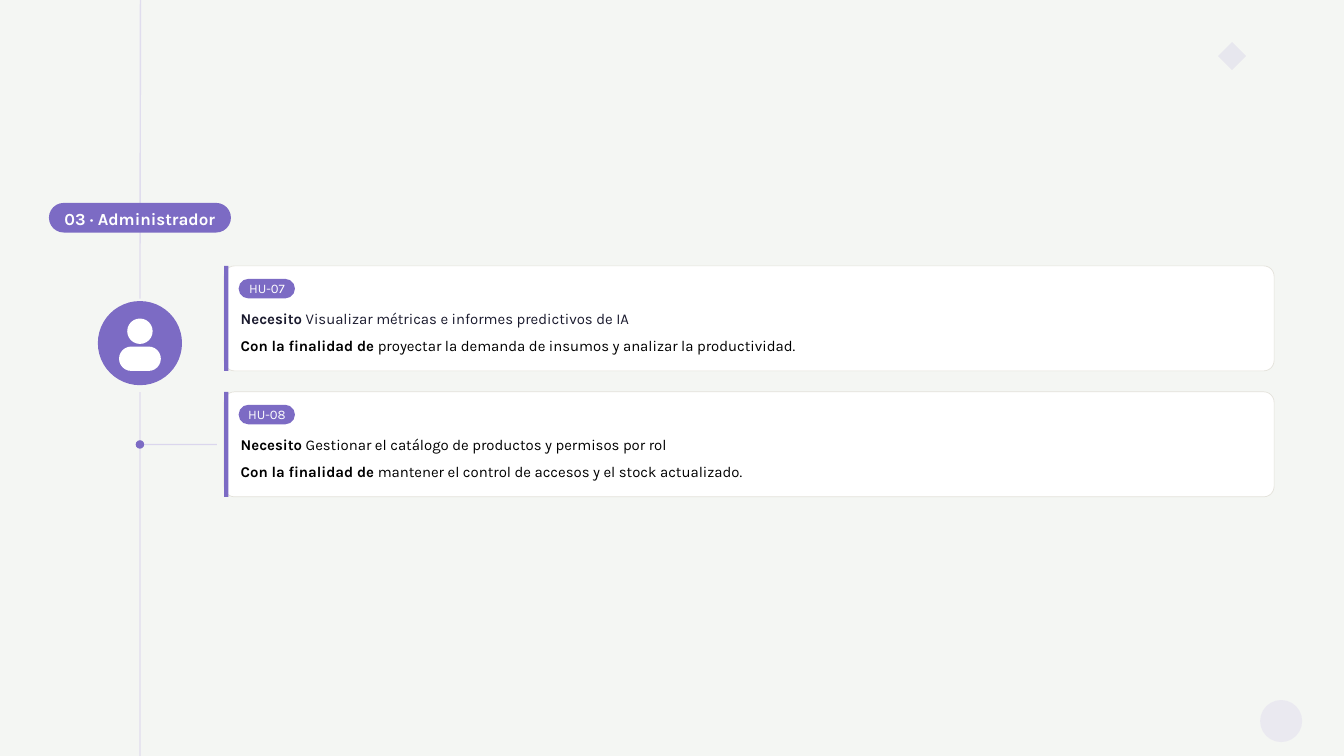
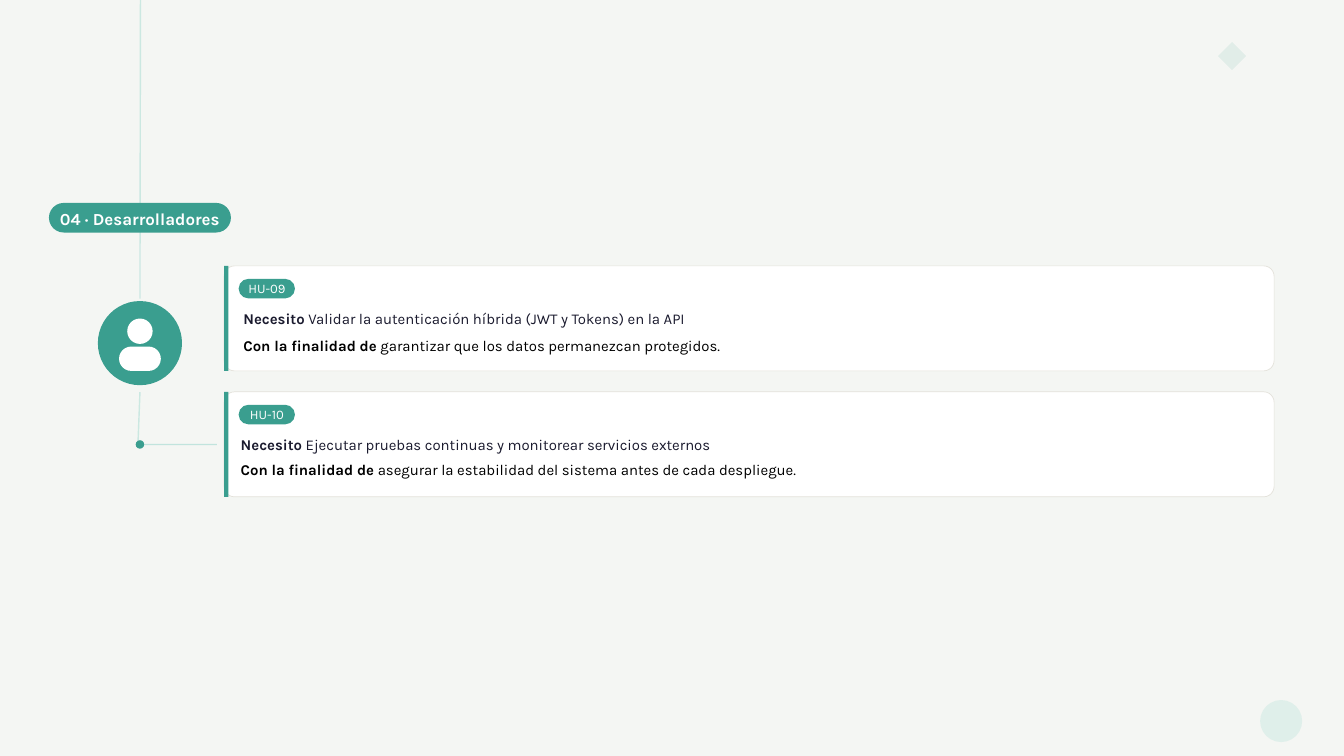
from dataclasses import dataclass

from lxml import etree
from pptx import Presentation
from pptx.dml.color import RGBColor
from pptx.enum.shapes import MSO_CONNECTOR, MSO_SHAPE as Geo
from pptx.enum.text import MSO_AUTO_SIZE, PP_ALIGN as Align
from pptx.oxml.ns import qn
from pptx.util import Cm, Pt


@dataclass(frozen=True)
class Theme:
    font: str = "Karla"
    ground: str = "F4F6F3"
    white: str = "FFFFFF"
    black: str = "000000"
    ink: str = "1A1A2E"
    border: str = "E3E1DA"
    label_size: float = 18.1
    body_size: float = 16
    tag_size: float = 14


@dataclass(frozen=True)
class Story:
    code: str
    need: str
    goal: str
    need_color: str
    text_x: float = 9.1
    goal_dy: float = 2.62


@dataclass(frozen=True)
class Role:
    label: str
    color: str
    tint: str
    spine_end: tuple[float, float]
    stories: tuple[Story, ...]


THEME = Theme()
SPINE_X = 5.29
CARD_X, CARD_Y, CARD_W, CARD_H = 8.47, 10.05, 39.69, 3.97
CARD_PITCH = 4.76
BRANCH_Y = 16.8

ROLES = (
    Role("03 · Administrador", "7C6BC4", "C4B8E8", (SPINE_X, 28.58), (
        Story("HU-07", "Visualizar métricas e informes predictivos de IA",
              "proyectar la demanda de insumos y analizar la productividad.",
              THEME.ink),
        Story("HU-08", "Gestionar el catálogo de productos y permisos por rol",
              "mantener el control de accesos y el stock actualizado.",
              THEME.black),
    )),
    Role("04 · Desarrolladores", "3A9E8F", "8FD4C8", (5.21, 16.89), (
        Story("HU-09", "Validar la autenticación híbrida (JWT y Tokens) en la API",
              "garantizar que los datos permanezcan protegidos.",
              THEME.ink, text_x=9.2),
        Story("HU-10", "Ejecutar pruebas continuas y monitorear servicios externos",
              "asegurar la estabilidad del sistema antes de cada despliegue.",
              THEME.ink, goal_dy=2.54),
    )),
)


def rgb(color: str) -> RGBColor:
    return RGBColor.from_string(color)


def set_opacity(sp, percent: int) -> None:
    for clr in sp.element.spPr.iter(qn("a:srgbClr")):
        etree.SubElement(clr, qn("a:alpha")).set("val", str(percent * 1000))


def add_block(slide, geo, x: float, y: float, w: float, h: float, fill: str, *,
              border: str | None = None, radius: float | None = None,
              opacity: int = 100) -> None:
    sp = slide.shapes.add_shape(geo, Cm(x), Cm(y), Cm(w), Cm(h))
    sp.shadow.inherit = False
    sp.fill.solid()
    sp.fill.fore_color.rgb = rgb(fill)
    if border:
        sp.line.color.rgb = rgb(border)
        sp.line.width = Pt(0.75)
    else:
        sp.line.fill.background()
    if radius is not None:
        sp.adjustments[0] = radius
    if opacity < 100:
        set_opacity(sp, opacity)


def add_line(slide, start: tuple[float, float], end: tuple[float, float],
             color: str, opacity: int) -> None:
    sp = slide.shapes.add_connector(MSO_CONNECTOR.STRAIGHT, *map(Cm, start + end))
    sp.line.color.rgb = rgb(color)
    sp.line.width = Pt(1.5)
    set_opacity(sp, opacity)
    etree.SubElement(sp.element.spPr, qn("a:effectLst"))


def add_text(slide, text: str, x: float, y: float, w: float, h: float, *,
             size: float, color: str, leading: float, lead: str = "",
             bold: bool = False, align=Align.LEFT) -> None:
    tf = slide.shapes.add_textbox(Cm(x), Cm(y), Cm(w), Cm(h)).text_frame
    tf.margin_left = tf.margin_top = tf.margin_right = tf.margin_bottom = 0
    tf.word_wrap = True
    tf.auto_size = MSO_AUTO_SIZE.SHAPE_TO_FIT_TEXT
    p = tf.paragraphs[0]
    p.alignment = align
    p.line_spacing = Pt(leading)
    runs = [(lead, True), (f" {text}", bold)] if lead else [(text, bold)]
    for content, is_bold in runs:
        r = p.add_run()
        r.text = content
        r.font.name = THEME.font
        r.font.size = Pt(size)
        r.font.bold = is_bold
        r.font.color.rgb = rgb(color)


def add_avatar(slide, color: str) -> None:
    for geo, y, w, h, fill, radius in (
        (Geo.OVAL, 11.38, 3.18, 3.18, color, None),
        (Geo.OVAL, 12.04, 0.96, 0.96, THEME.white, None),
        (Geo.ROUNDED_RECTANGLE, 13.1, 1.58, 0.92, THEME.white, 0.5),
    ):
        add_block(slide, geo, SPINE_X - w / 2, y, w, h, fill, radius=radius)


def add_story(slide, story: Story, y: float, color: str) -> None:
    add_block(slide, Geo.ROUNDED_RECTANGLE, CARD_X, y, CARD_W, CARD_H, THEME.white,
              border=THEME.border, radius=0.1)
    add_block(slide, Geo.RECTANGLE, CARD_X, y, 0.16, CARD_H, color)
    for lead, text, dy, ink in (
        ("Necesito", story.need, 1.6, story.need_color),
        ("Con la finalidad de", story.goal, story.goal_dy, THEME.black),
    ):
        add_text(slide, text, story.text_x, y + dy, 38.4, 0.69, lead=lead,
                 size=THEME.body_size, color=ink, leading=20.8)
    add_block(slide, Geo.ROUNDED_RECTANGLE, 9.02, y + 0.49, 2.13, 0.74, color,
              radius=0.5)
    add_text(slide, story.code, 8.63, y + 0.47, 2.92, 0.66, size=THEME.tag_size,
             color=THEME.white, leading=19.6, align=Align.CENTER)


def add_role_slide(prs, role: Role) -> None:
    slide = prs.slides.add_slide(prs.slide_layouts[6])
    slide.background.fill.solid()
    slide.background.fill.fore_color.rgb = rgb(THEME.ground)

    add_avatar(slide, role.color)
    add_line(slide, (SPINE_X, 14.82), role.spine_end, role.tint, 40)
    add_line(slide, (SPINE_X, BRANCH_Y), (8.2, BRANCH_Y), role.tint, 50)
    add_block(slide, Geo.OVAL, SPINE_X - 0.16, BRANCH_Y - 0.16, 0.32, 0.32, role.color)
    for i, story in enumerate(role.stories):
        add_story(slide, story, CARD_Y + i * CARD_PITCH, role.color)

    add_block(slide, Geo.OVAL, 47.63, 26.46, 1.59, 1.59, role.tint, opacity=20)
    add_block(slide, Geo.DIAMOND, 46.04, 1.59, 1.06, 1.06, role.color, opacity=10)

    add_line(slide, (5.31, 0), (SPINE_X, 11.29), role.tint, 40)
    add_block(slide, Geo.ROUNDED_RECTANGLE, 1.85, 7.67, 6.88, 1.12, role.color,
              radius=0.5)
    add_text(slide, role.label, 2.11, 7.77, 6.35, 0.81, size=THEME.label_size,
             color=THEME.white, leading=25.3, bold=True, align=Align.CENTER)


def main() -> None:
    prs = Presentation()
    prs.slide_width = Cm(50.8)
    prs.slide_height = prs.slide_width * 9 // 16
    for role in ROLES:
        add_role_slide(prs, role)
    prs.save("out.pptx")


if __name__ == "__main__":
    main()
